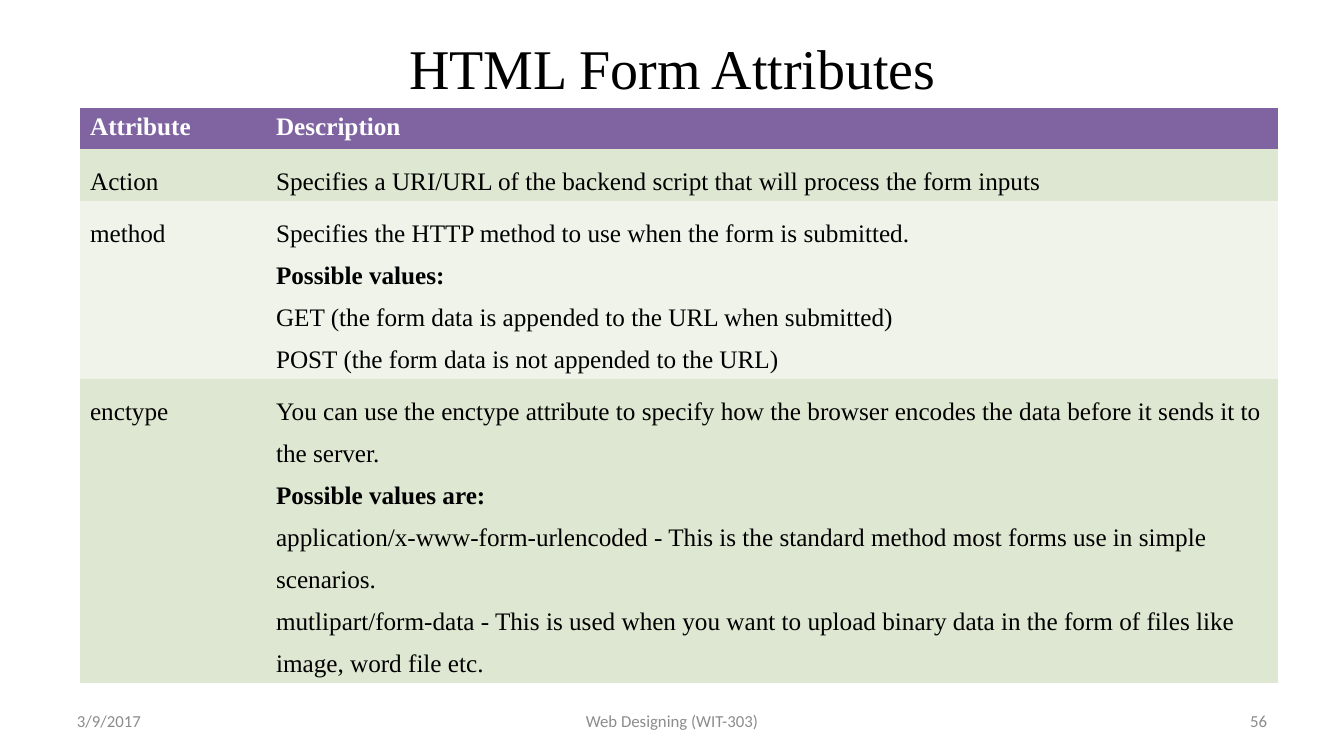
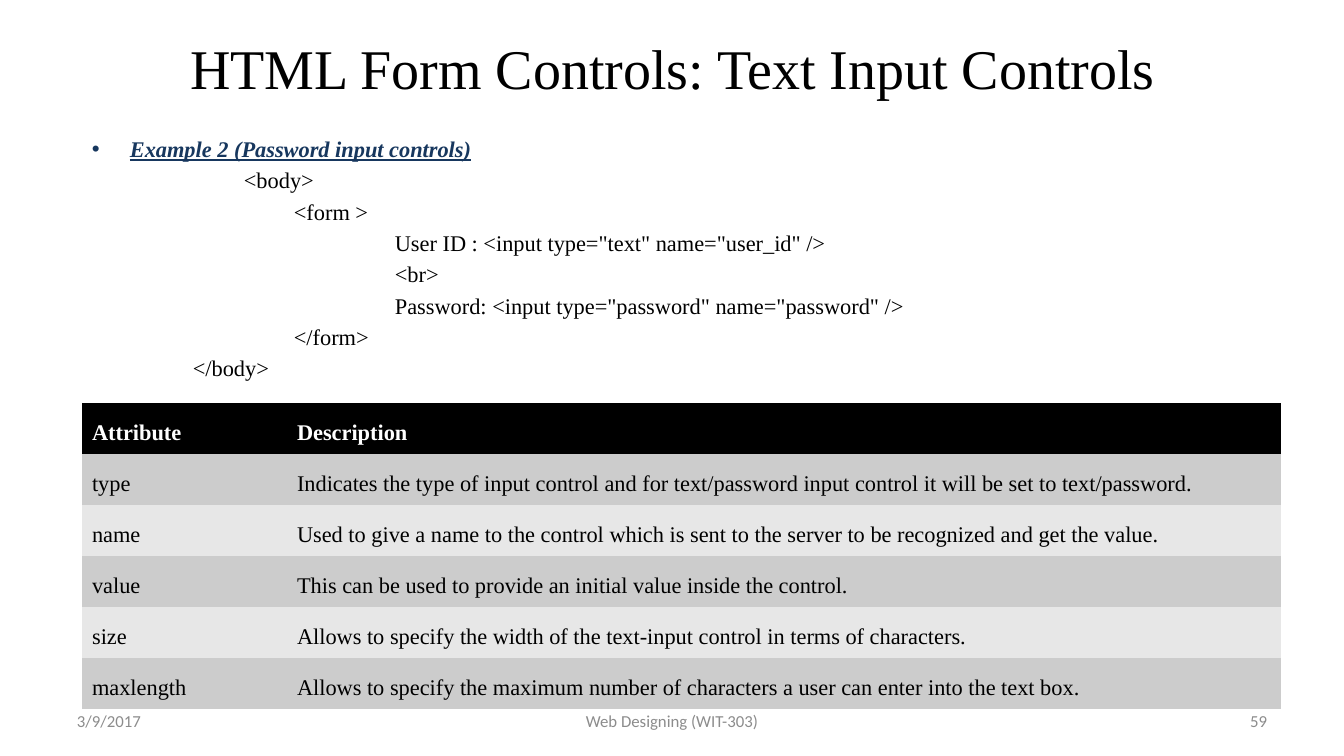
from dataclasses import dataclass
from typing import Any

from lxml.etree import SubElement
from pptx import Presentation
from pptx.dml.color import RGBColor
from pptx.enum.text import MSO_ANCHOR as Anchor, PP_ALIGN as Align
from pptx.oxml.ns import qn
from pptx.util import Emu, Pt

SLIDE_W, SLIDE_H = 1344, 756
EMU_PER_PX = 12192000 / SLIDE_W
SERIF, SANS = "Times New Roman", "Calibri"
COLORS = {
    "ink": "000000",
    "white": "FFFFFF",
    "footer": "8C8C8C",
    "example": "17375E",
    "purple": "8064A2",
    "green": "DEE7D1",
    "pale_green": "EFF3EA",
    "grey": "CCCCCC",
    "pale_grey": "E7E7E7",
}


@dataclass(frozen=True)
class Box:
    left: int
    top: int
    width: int
    height: int


@dataclass(frozen=True)
class Style:
    size: int
    color: str = "ink"
    font: str = SERIF
    bold: bool = False
    italic: bool = False
    underline: bool = False


@dataclass(frozen=True)
class Line:
    text: str
    bold: bool = False


@dataclass(frozen=True)
class Row:
    attribute: str
    description: tuple[Line, ...]
    height: int


@dataclass(frozen=True)
class AttributeTable:
    left: int
    top: int
    columns: tuple[int, int]
    size: int
    header_fill: str
    bands: tuple[str, str]
    header_height: int
    header_spacing: float
    row_spacing: float | Pt
    rows: tuple[Row, ...]


@dataclass(frozen=True)
class CodeLine:
    indent: int
    text: str


@dataclass(frozen=True)
class FooterPart:
    box: Box
    align: Align
    text: str


TITLE_BOX = Box(93, 0, 1159, 134)
TITLE = Style(40)
FOOTER = Style(12, "footer", SANS)
FOOTER_TOP, FOOTER_HEIGHT = 701, 40

FORM_ATTRIBUTES = AttributeTable(
    80, 108, (186, 1012), 18, "purple", ("green", "pale_green"), 41, 1.0, Pt(30),
    (
        Row("Action", (
            Line("Specifies a URI/URL of the backend script that will process the form inputs"),
        ), 52),
        Row("method", (
            Line("Specifies the HTTP method to use when the form is submitted."),
            Line("Possible values:", bold=True),
            Line("GET (the form data is appended to the URL when submitted)"),
            Line("POST (the form data is not appended to the URL)"),
        ), 177),
        Row("enctype", (
            Line("You can use the enctype attribute to specify how the browser "
                 "encodes the data before it sends it to the server."),
            Line("Possible values are:", bold=True),
            Line("application/x-www-form-urlencoded - This is the standard method "
                 "most forms use in simple scenarios."),
            Line("mutlipart/form-data - This is used when you want to upload binary "
                 "data in the form of files like image, word file etc."),
        ), 303),
    ),
)

INPUT_ROW_HEIGHT = 51
INPUT_DESCRIPTIONS = {
    "type": "Indicates the type of input control and for text/password input control "
            "it will be set to text/password.",
    "name": "Used to give a name to the control which is sent to the server "
            "to be recognized and get the value.",
    "value": "This can be used to provide an initial value inside the control.",
    "size": "Allows to specify the width of the text-input control in terms of characters.",
    "maxlength": "Allows to specify the maximum number of characters a user can enter "
                 "into the text box.",
}
INPUT_ATTRIBUTES = AttributeTable(
    82, 403, (205, 994), 16, "ink", ("grey", "pale_grey"), INPUT_ROW_HEIGHT, 1.5, 1.5,
    tuple(
        Row(name, (Line(text),), INPUT_ROW_HEIGHT)
        for name, text in INPUT_DESCRIPTIONS.items()
    ),
)

EXAMPLE_BOX = Box(82, 130, 1199, 268)
EXAMPLE_INDENT = 38
EXAMPLE_SIZE = 16
EXAMPLE_HEADING = "Example 2 (Password input controls)"
EXAMPLE_CODE = (
    CodeLine(152, "<body>"),
    CodeLine(202, "<form >"),
    CodeLine(303, 'User ID : <input type="text" name="user_id" />'),
    CodeLine(303, "<br>"),
    CodeLine(303, 'Password: <input type="password" name="password" />'),
    CodeLine(202, "</form>"),
    CodeLine(101, "</body>"),
)


def px(length: int) -> Emu:
    return Emu(round(length * EMU_PER_PX))


def rgb(color: str) -> RGBColor:
    return RGBColor.from_string(COLORS[color])


def add_run(paragraph: Any, text: str, style: Style) -> None:
    run = paragraph.add_run()
    run.text = text
    run.font.name = style.font
    run.font.size = Pt(style.size)
    run.font.bold = style.bold
    run.font.italic = style.italic
    run.font.underline = style.underline
    run.font.color.rgb = rgb(style.color)


def next_paragraph(frame: Any, index: int) -> Any:
    return frame.add_paragraph() if index else frame.paragraphs[0]


def add_frame(slide: Any, box: Box, anchor: Anchor) -> Any:
    frame = slide.shapes.add_textbox(
        px(box.left), px(box.top), px(box.width), px(box.height)
    ).text_frame
    frame.word_wrap = True
    frame.vertical_anchor = anchor
    return frame


def add_label(slide: Any, box: Box, text: str, style: Style, align: Align) -> None:
    paragraph = add_frame(slide, box, Anchor.MIDDLE).paragraphs[0]
    paragraph.alignment = align
    add_run(paragraph, text, style)


def add_footer(slide: Any, number: int) -> None:
    parts = (
        FooterPart(Box(67, FOOTER_TOP, 314, FOOTER_HEIGHT), Align.LEFT, "3/9/2017"),
        FooterPart(Box(459, FOOTER_TOP, 426, FOOTER_HEIGHT), Align.CENTER,
                   "Web Designing (WIT-303)"),
        FooterPart(Box(963, FOOTER_TOP, 314, FOOTER_HEIGHT), Align.RIGHT, str(number)),
    )
    for part in parts:
        add_label(slide, part.box, part.text, FOOTER, part.align)


def add_slide(deck: Any, title: str, number: int) -> Any:
    slide = deck.slides.add_slide(deck.slide_layouts[6])
    add_label(slide, TITLE_BOX, title, TITLE, Align.CENTER)
    add_footer(slide, number)
    return slide


def fill_cell(cell: Any, lines: tuple[Line, ...], size: int, color: str,
              fill: str, spacing: float | Pt) -> None:
    cell.fill.solid()
    cell.fill.fore_color.rgb = rgb(fill)
    for index, line in enumerate(lines):
        paragraph = next_paragraph(cell.text_frame, index)
        paragraph.line_spacing = spacing
        add_run(paragraph, line.text, Style(size, color, bold=line.bold))


def add_attribute_table(slide: Any, data: AttributeTable) -> None:
    heights = (data.header_height, *(row.height for row in data.rows))
    graphic = slide.shapes.add_table(
        len(heights), len(data.columns), px(data.left), px(data.top),
        px(sum(data.columns)), px(sum(heights))
    )
    no_grid = "{2D5ABB26-0587-4C30-8999-92F81FD0307C}"
    graphic.element.find(".//" + qn("a:tableStyleId")).text = no_grid
    table = graphic.table
    for column, width in zip(table.columns, data.columns):
        column.width = px(width)
    for row, height in zip(table.rows, heights):
        row.height = px(height)
    for column, heading in enumerate(("Attribute", "Description")):
        fill_cell(table.cell(0, column), (Line(heading, bold=True),), data.size,
                  "white", data.header_fill, data.header_spacing)
    for index, row in enumerate(data.rows):
        for column, lines in enumerate(((Line(row.attribute),), row.description)):
            fill_cell(table.cell(index + 1, column), lines, data.size, "ink",
                      data.bands[index % 2], data.row_spacing)


def add_example(slide: Any) -> None:
    frame = add_frame(slide, EXAMPLE_BOX, Anchor.TOP)
    code = Style(EXAMPLE_SIZE)
    heading = Style(EXAMPLE_SIZE, "example", bold=True, italic=True, underline=True)
    lines = (CodeLine(EXAMPLE_INDENT, EXAMPLE_HEADING), *EXAMPLE_CODE)
    for index, line in enumerate(lines):
        paragraph = next_paragraph(frame, index)
        paragraph.alignment = Align.JUSTIFY
        paragraph.space_before = Pt(EXAMPLE_SIZE * 0.2)
        add_run(paragraph, line.text, code if index else heading)
        properties = paragraph._p.get_or_add_pPr()
        properties.set("marL", str(px(line.indent)))
        if index == 0:
            properties.set("indent", str(-px(EXAMPLE_INDENT)))
            SubElement(properties, qn("a:buFont")).set("typeface", "Arial")
            SubElement(properties, qn("a:buChar")).set("char", "•")


def main() -> None:
    deck = Presentation()
    deck.slide_width, deck.slide_height = px(SLIDE_W), px(SLIDE_H)
    attributes = add_slide(deck, "HTML Form Attributes", 56)
    add_attribute_table(attributes, FORM_ATTRIBUTES)
    controls = add_slide(deck, "HTML Form Controls: Text Input Controls", 59)
    add_example(controls)
    add_attribute_table(controls, INPUT_ATTRIBUTES)
    deck.save("out.pptx")


if __name__ == "__main__":
    main()
